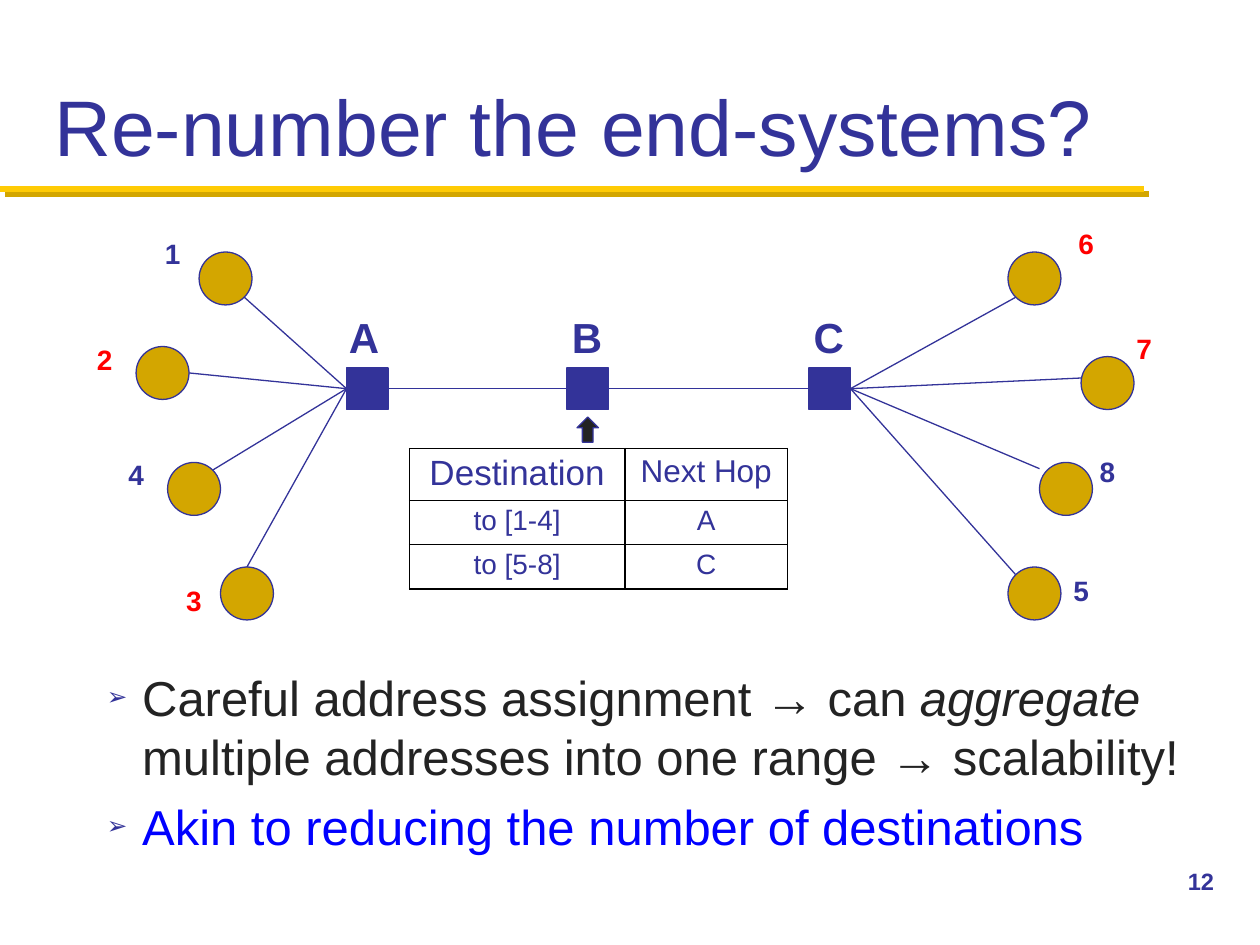
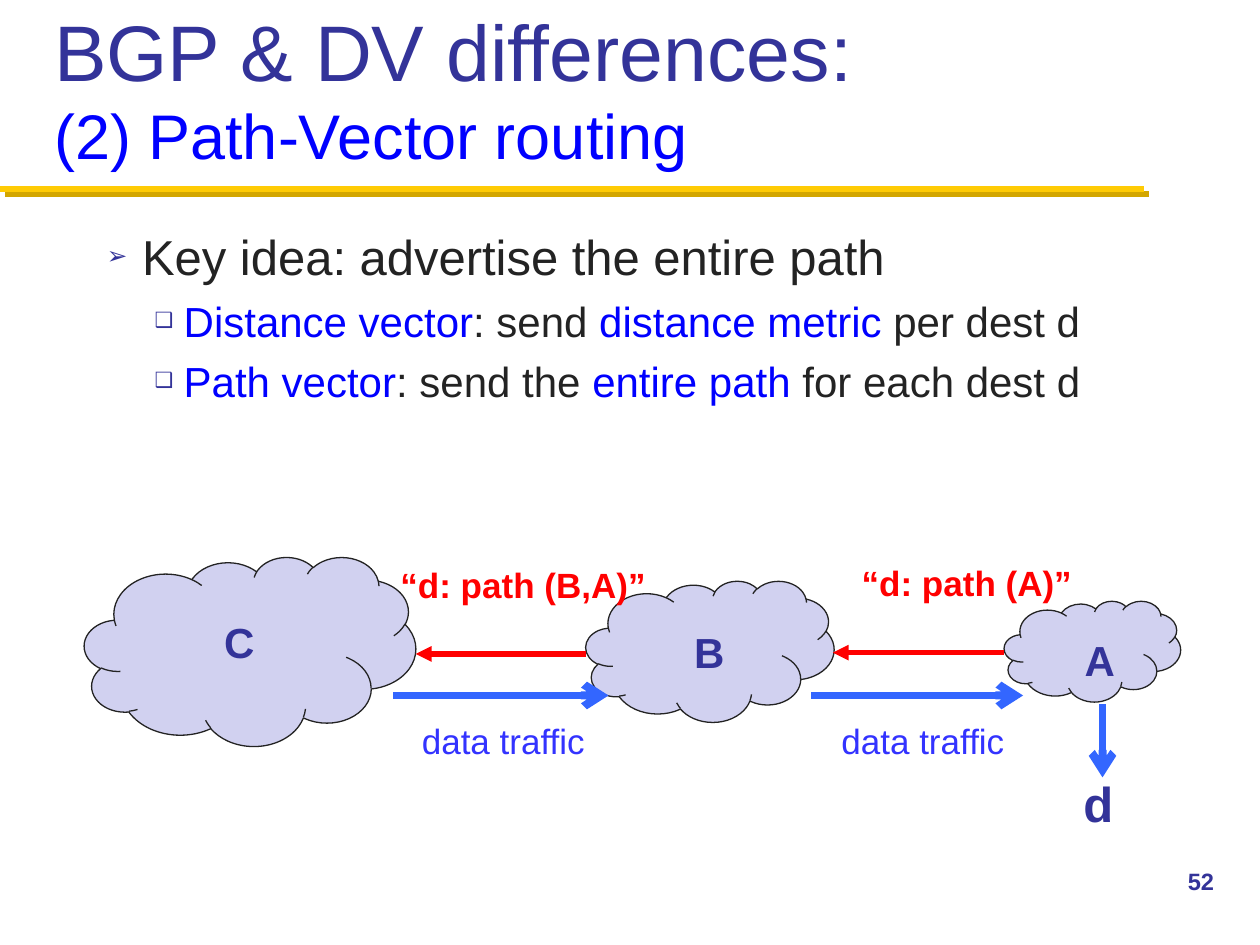
import pptx
import pptx.util
import pptx.dml.color
import pptx.enum.shapes
import pptx.enum.text
import pptx.oxml
import pptx.oxml.ns
from lxml import etree

Inches = pptx.util.Inches
Pt = pptx.util.Pt
RGBColor = pptx.dml.color.RGBColor
SHAPE = pptx.enum.shapes.MSO_SHAPE
STRAIGHT = pptx.enum.shapes.MSO_CONNECTOR.STRAIGHT
ALIGN = pptx.enum.text.PP_ALIGN
ANCHOR = pptx.enum.text.MSO_ANCHOR
AUTO = pptx.enum.text.MSO_AUTO_SIZE
qn = pptx.oxml.ns.qn

NAVY = RGBColor(0x33, 0x33, 0x99)
BLUE = RGBColor(0x00, 0x00, 0xFF)
RED = RGBColor(0xFF, 0x00, 0x00)
INK = RGBColor(0x23, 0x23, 0x23)
BLACK = RGBColor(0x00, 0x00, 0x00)
YELLOW = RGBColor(0xFF, 0xCB, 0x05)
GOLD = RGBColor(0xD3, 0xA6, 0x00)
LAVENDER = RGBColor(0xD1, 0xD1, 0xF0)
SKY = RGBColor(0x33, 0x66, 0xFF)
VIOLET = RGBColor(0x33, 0x33, 0xFF)

FONT = "Arial"
TOP, LEFT, BOTTOM, RIGHT = range(4)
# Per level: bullet, text size, indent, hanging indent, space before
LEVELS = [("➢", 28, 0.28, 0.28, 6.4), ("❑", 24, 0.61, 0.23, 5.5)]


class Deck:
    def __init__(self, prs):
        self.prs = prs
        self.s = None

    def slide(self, title_runs, number):
        self.s = self.prs.slides.add_slide(self.prs.slide_layouts[5])
        for offset, color in ((0.04, GOLD), (0, YELLOW)):
            self.line((offset, 1.5 + offset), (9.08 + offset, 1.5 + offset), color, 3.5)
        sp = self.s.shapes.title
        sp.left, sp.top = Inches(0.33), Inches(0.17)
        sp.width, sp.height = Inches(9.33), Inches(1.25)
        tf = sp.text_frame
        tf.auto_size = AUTO.NONE
        tf.vertical_anchor = ANCHOR.BOTTOM
        p = tf.paragraphs[0]
        p.alignment = ALIGN.LEFT
        for i, (text, size, color) in enumerate(title_runs):
            if i:
                p.add_line_break()
            self.run(p, text, size, color)
        self.label(str(number), 9.33, 6.83, 0.67, 0.5, 13.5)

    def style(self, r, size, color, bold=False, italic=False):
        r.font.name = FONT
        r.font.size = Pt(size)
        r.font.color.rgb = color
        r.font.bold = bold
        r.font.italic = italic

    def run(self, p, text, *look):
        r = p.add_run()
        r.text = text
        self.style(r, *look)

    def label(self, text, x, y, w, h, size, color=NAVY, bold=True):
        sp = self.s.shapes.add_textbox(Inches(x), Inches(y), Inches(w), Inches(h))
        tf = sp.text_frame
        tf.word_wrap = False
        tf.text = text
        self.style(tf.paragraphs[0].runs[0], size, color, bold)

    def bullets(self, x, y, w, h, items):
        """Each item is a level and its runs: (text, color[, italic])."""
        tf = self.s.shapes.add_textbox(Inches(x), Inches(y), Inches(w), Inches(h)).text_frame
        tf.word_wrap = True
        for i, (level, runs) in enumerate(items):
            char, size, indent, hang, before = LEVELS[level]
            p = tf.add_paragraph() if i else tf.paragraphs[0]
            p.level = level
            if i:
                p.space_before = Pt(before)
            pPr = p._p.get_or_add_pPr()
            pPr.set("marL", str(Inches(indent)))
            pPr.set("indent", str(-Inches(hang)))
            clr = etree.SubElement(pPr, qn("a:buClr"))
            etree.SubElement(clr, qn("a:srgbClr"), val=str(NAVY))
            etree.SubElement(pPr, qn("a:buSzPct"), val="50000")
            etree.SubElement(pPr, qn("a:buFont"), typeface=FONT)
            etree.SubElement(pPr, qn("a:buChar"), char=char)
            for text, color, *italic in runs:
                self.run(p, text, size, color, False, bool(italic))

    def shape(self, kind, x, y, w, h, fill, line=NAVY):
        sp = self.s.shapes.add_shape(kind, Inches(x), Inches(y), Inches(w), Inches(h))
        sp.shadow.inherit = False
        sp.fill.solid()
        sp.fill.fore_color.rgb = fill
        sp.line.color.rgb = line
        sp.line.width = Pt(0.75)
        return sp

    def line(self, start, end, color=NAVY, width=0.75, arrow=None):
        cx = self.s.shapes.add_connector(STRAIGHT, *map(Inches, start + end))
        cx.line.color.rgb = color
        cx.line.width = Pt(width)
        if arrow:
            etree.SubElement(cx.line._get_or_add_ln(), qn("a:tailEnd"), type=arrow)
        etree.SubElement(cx._element.spPr, qn("a:effectLst"))
        return cx

    def table(self, x, y, widths, heights, rows, header_sizes, body_size):
        tbl = self.s.shapes.add_table(
            len(rows), len(widths), Inches(x), Inches(y),
            Inches(sum(widths)), Inches(sum(heights))).table
        for col, width in zip(tbl.columns, widths):
            col.width = Inches(width)
        for i, (height, texts) in enumerate(zip(heights, rows)):
            tbl.rows[i].height = Inches(height)
            for j, text in enumerate(texts):
                cell = tbl.cell(i, j)
                cell.margin_top = cell.margin_bottom = Inches(0.04)
                cell.text = text
                p = cell.text_frame.paragraphs[0]
                p.alignment = ALIGN.CENTER
                self.style(p.runs[0], body_size if i else header_sizes[j], NAVY)
                self.borders(cell)
                cell.fill.background()

    def borders(self, cell):
        tcPr = cell._tc.get_or_add_tcPr()
        for side in "LRTB":
            ln = etree.SubElement(tcPr, qn(f"a:ln{side}"), w=str(Pt(1)))
            fill = etree.SubElement(ln, qn("a:solidFill"))
            etree.SubElement(fill, qn("a:srgbClr"), val=str(BLACK))


def renumber_slide(deck):
    deck.slide([("Re-number the end-systems?", 45, NAVY)], 12)
    deck.bullets(0.75, 5.25, 8.75, 1.57, [
        (0, [("Careful address assignment → can ", INK), ("aggregate", INK, True),
             (" multiple addresses into one range → scalability!", INK)]),
        (0, [("Akin to reducing the number of destinations", BLUE)]),
    ])
    deck.table(3.25, 3.56, [1.71, 1.29], [0.41, 0.35, 0.35],
               [("Destination", "Next Hop"), ("to [1-4]", "A"), ("to [5-8]", "C")],
               (20, 18), 16)

    routers = {}
    for name, x, label_x in (("A", 2.75, 2.67), ("B", 4.5, 4.44), ("C", 6.42, 6.36)):
        routers[name] = deck.shape(SHAPE.RECTANGLE, x, 2.92, 0.33, 0.33, NAVY)
        deck.label(name, label_x, 2.42, 0.43, 0.5, 24)
    for a, b in ("AB", "BC"):
        link = deck.line((0, 0), (1, 1))
        link.begin_connect(routers[a], RIGHT)
        link.end_connect(routers[b], LEFT)

    # Number, router, circle corner, label corner, link start, label color
    hosts = [
        ("1", "A", (1.58, 2), (1.21, 1.83), (1.94, 2.36), NAVY),
        ("2", "A", (1.08, 2.75), (0.67, 2.67), (1.5, 2.96), RED),
        ("3", "A", (1.75, 4.5), (1.38, 4.58), (1.96, 4.5), RED),
        ("4", "A", (1.33, 3.67), (0.92, 3.58), (1.69, 3.73), NAVY),
        ("5", "C", (8, 4.5), (8.42, 4.5), (8.06, 4.56), NAVY),
        ("6", "C", (8, 2), (8.46, 1.75), (8.06, 2.36), RED),
        ("7", "C", (8.58, 2.83), (8.92, 2.58), (8.58, 3), RED),
        ("8", "C", (8.25, 3.67), (8.63, 3.56), (8.25, 3.72), NAVY),
    ]
    for number, router, corner, label_at, start, color in hosts:
        deck.shape(SHAPE.OVAL, *corner, 0.42, 0.42, GOLD)
        link = deck.line(start, (1, 1))
        link.end_connect(routers[router], LEFT if router == "A" else RIGHT)
        deck.label(number, *label_at, 0.33, 0.37, 16, color)
    deck.shape(SHAPE.UP_ARROW, 4.58, 3.31, 0.17, 0.2, INK)


def path_vector_slide(deck):
    deck.slide([("BGP & DV differences: ", 45, NAVY),
                ("(2) Path-Vector routing", 36, BLUE)], 52)
    deck.bullets(0.75, 1.75, 8.67, 4.83, [
        (0, [("Key idea: advertise the entire path", INK)]),
        (1, [("Distance vector", BLUE), (": send ", INK),
             ("distance metric", BLUE), (" per dest d", INK)]),
        (1, [("Path vector", BLUE), (": send the ", INK),
             ("entire path", BLUE), (" for each dest d", INK)]),
    ])
    for name, cloud, label_at in (
            ("C", (0.67, 4.42, 2.63, 1.5), (1.68, 4.84)),
            ("B", (4.65, 4.61, 1.97, 1.12), (5.41, 4.92)),
            ("A", (7.97, 4.77, 1.4, 0.8), (8.51, 4.99))):
        deck.shape(SHAPE.CLOUD, *cloud, LAVENDER, INK)
        deck.label(name, *label_at, 0.45, 0.5, 24)

    for start, end in (((6.44, 5.52), (8.12, 5.52)), ((3.12, 5.52), (4.83, 5.52)),
                       ((8.75, 5.59), (8.75, 6.17))):
        deck.line(start, end, SKY, 4.5, "arrow")
    for start, end in (((4.65, 5.19), (3.3, 5.19)), ((7.97, 5.18), (6.61, 5.18))):
        deck.line(start, end, RED, 3, "triangle")

    deck.label("d", 8.5, 6.09, 0.44, 0.57, 28)
    deck.label("“d: path (B,A)”", 3.08, 4.42, 2.16, 0.44, 20, RED)
    deck.label("“d: path (A)”", 6.74, 4.41, 1.88, 0.44, 20, RED)
    for x in (3.25, 6.58):
        deck.label("data traffic", x, 5.66, 1.5, 0.44, 20, VIOLET, False)


def main():
    prs = pptx.Presentation()
    prs.slide_width, prs.slide_height = Inches(10), Inches(7.5)
    deck = Deck(prs)
    renumber_slide(deck)
    path_vector_slide(deck)
    prs.save("out.pptx")


if __name__ == "__main__":
    main()
